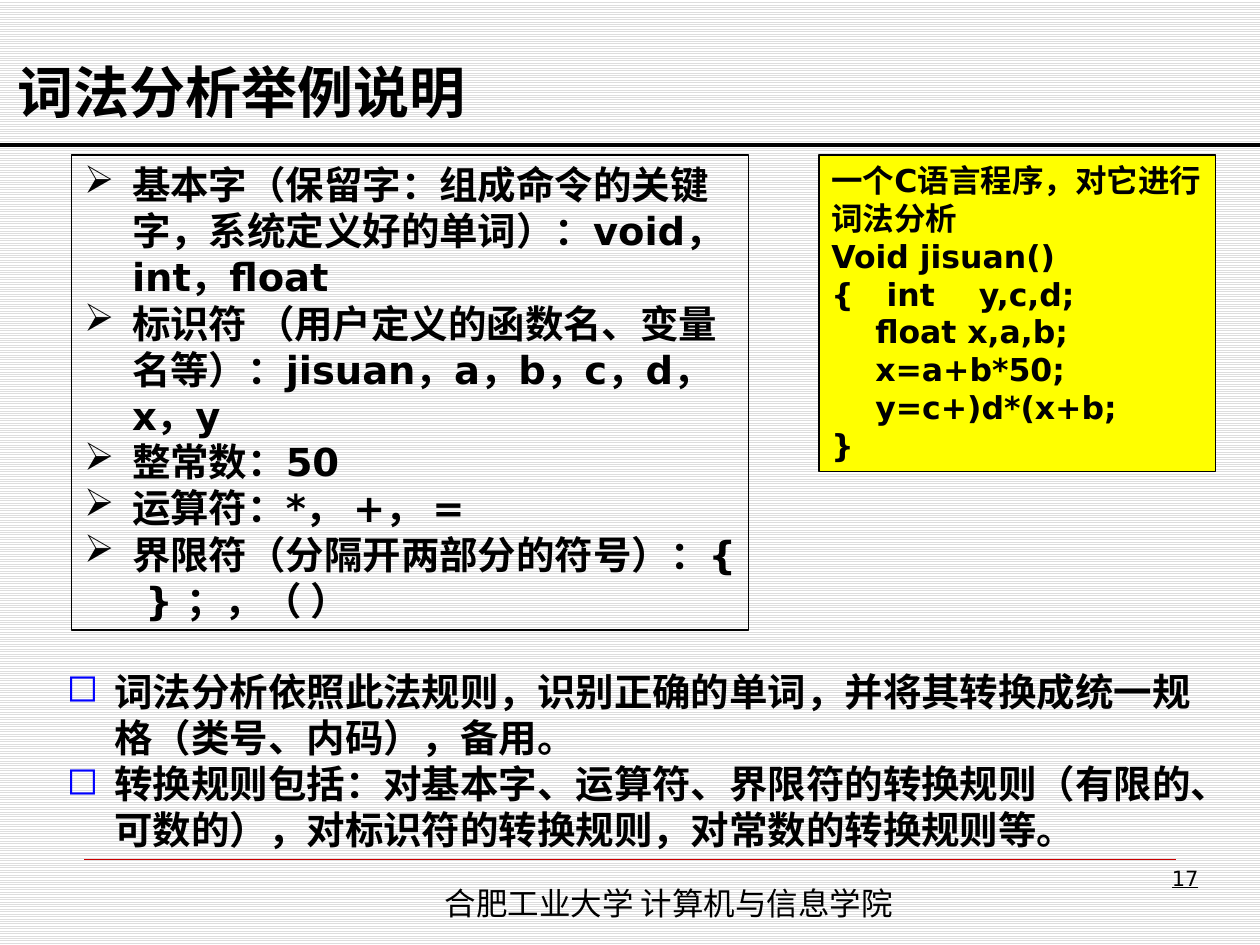
from dataclasses import dataclass

from lxml import etree
from pptx import Presentation
from pptx.dml.color import RGBColor
from pptx.enum import dml, shapes, text
from pptx.oxml import ns
from pptx.util import Inches, Pt


@dataclass(frozen=True)
class Theme:
    black: str = "000000"
    blue: str = "0000FF"
    yellow: str = "FFFF00"
    red: str = "CC0000"
    stripe: str = "DDDDDD"
    white: str = "FFFFFF"
    body_font: str = "DejaVu Sans"
    heading_font: str = "Noto Sans CJK SC"
    title_size: int = 32
    body_size: int = 22
    code_size: int = 18
    number_size: int = 12


THEME = Theme()
TOKEN_CLASSES = [
    "基本字（保留字：组成命令的关键字，系统定义好的单词）：void，int，float",
    "标识符 （用户定义的函数名、变量名等）：jisuan，a，b，c，d，x，y",
    "整常数：50",
    "运算符：*， +， =",
    "界限符（分隔开两部分的符号）：{  } ；，（ ）",
]
RULES = [
    "词法分析依照此法规则，识别正确的单词，并将其转换成统一规格（类号、内码），备用。",
    "转换规则包括：对基本字、运算符、界限符的转换规则（有限的、可数的），对标识符的转换规则，对常数的转换规则等。",
]
PROGRAM = [
    "一个C语言程序，对它进行词法分析",
    "Void jisuan()",
    "{   int    y,c,d;",
    "    float x,a,b;",
    "    x=a+b*50;",
    "    y=c+)d*(x+b;",
    "}",
]


def color(value):
    return RGBColor.from_string(value)


def add_bullet(paragraph, mark, mark_color=None):
    properties = paragraph._p.get_or_add_pPr()
    properties.set("marL", str(Inches(0.38)))
    properties.set("indent", str(-Inches(0.38)))
    if mark_color:
        holder = etree.SubElement(properties, ns.qn("a:buClr"))
        etree.SubElement(holder, ns.qn("a:srgbClr"), val=mark_color)
    etree.SubElement(properties, ns.qn("a:buChar"), char=mark)


def write(shape, lines, size, font=THEME.body_font, bold=True,
          anchor=text.MSO_ANCHOR.TOP, align=text.PP_ALIGN.LEFT):
    frame = shape.text_frame
    frame.word_wrap = True
    frame.vertical_anchor = anchor
    frame.text = "\n".join(lines)
    for paragraph in frame.paragraphs:
        paragraph.alignment = align
        paragraph.font.name = font
        paragraph.font.size = Pt(size)
        paragraph.font.bold = bold
        paragraph.font.color.rgb = color(THEME.black)
    return frame.paragraphs


def add_text(slide, box, lines, size, **style):
    shape = slide.shapes.add_textbox(*map(Inches, box))
    return write(shape, lines, size, **style)


def add_panel(slide, box, lines, size, fill=None):
    shape = slide.shapes.add_shape(shapes.MSO_SHAPE.RECTANGLE, *map(Inches, box))
    shape.shadow.inherit = False
    if fill:
        shape.fill.solid()
        shape.fill.fore_color.rgb = color(fill)
    else:
        shape.fill.background()
    shape.line.color.rgb = color(THEME.black)
    shape.line.width = Pt(0.75)
    return write(shape, lines, size)


def add_rule(slide, left, right, y, line_color, width):
    line = slide.shapes.add_connector(
        shapes.MSO_CONNECTOR.STRAIGHT,
        Inches(left), Inches(y), Inches(right), Inches(y))
    line.line.color.rgb = color(line_color)
    line.line.width = Pt(width)
    etree.SubElement(line._element.spPr, ns.qn("a:effectLst"))


def paint_background(slide):
    fill = slide.background.fill
    fill.patterned()
    fill.pattern = dml.MSO_PATTERN.LIGHT_HORIZONTAL
    fill.fore_color.rgb = color(THEME.stripe)
    fill.back_color.rgb = color(THEME.white)


def add_header(slide, box):
    add_text(slide, box, ["词法分析举例说明"], THEME.title_size,
             font=THEME.heading_font, anchor=text.MSO_ANCHOR.BOTTOM)
    add_rule(slide, 0, 10, 1.15, THEME.black, 2.25)


def add_token_classes(slide, box):
    for paragraph in add_panel(slide, box, TOKEN_CLASSES, THEME.body_size):
        add_bullet(paragraph, "➢")


def add_program(slide, box):
    add_panel(slide, box, PROGRAM, THEME.code_size, fill=THEME.yellow)


def add_conversion_rules(slide, box):
    for paragraph in add_text(slide, box, RULES, THEME.body_size):
        add_bullet(paragraph, "◻", THEME.blue)


def add_footer(slide, box):
    left, top, width, height = box
    add_rule(slide, left, left + width, top, THEME.red, 0.25)
    add_text(slide, (3.43, top + 0.15, 4.8, 0.4), ["合肥工业大学 计算机与信息学院"],
             THEME.code_size, font=THEME.heading_font, bold=False)
    number, = add_text(slide, (7.44, top, 2.17, height), ["17"], THEME.number_size,
                       bold=False, align=text.PP_ALIGN.RIGHT)
    number.font.underline = True


def main():
    presentation = Presentation()
    presentation.slide_width = Inches(10)
    presentation.slide_height = Inches(7.5)
    slide = presentation.slides.add_slide(presentation.slide_layouts[6])
    paint_background(slide)
    add_footer(slide, (0.67, 6.82, 8.66, 0.52))
    add_header(slide, (0.04, 0.21, 8.75, 0.83))
    add_token_classes(slide, (0.57, 1.23, 5.37, 3.77))
    add_conversion_rules(slide, (0.43, 5.25, 9.29, 1.57))
    add_program(slide, (6.5, 1.23, 3.15, 2.51))
    presentation.save("out.pptx")


if __name__ == "__main__":
    main()
